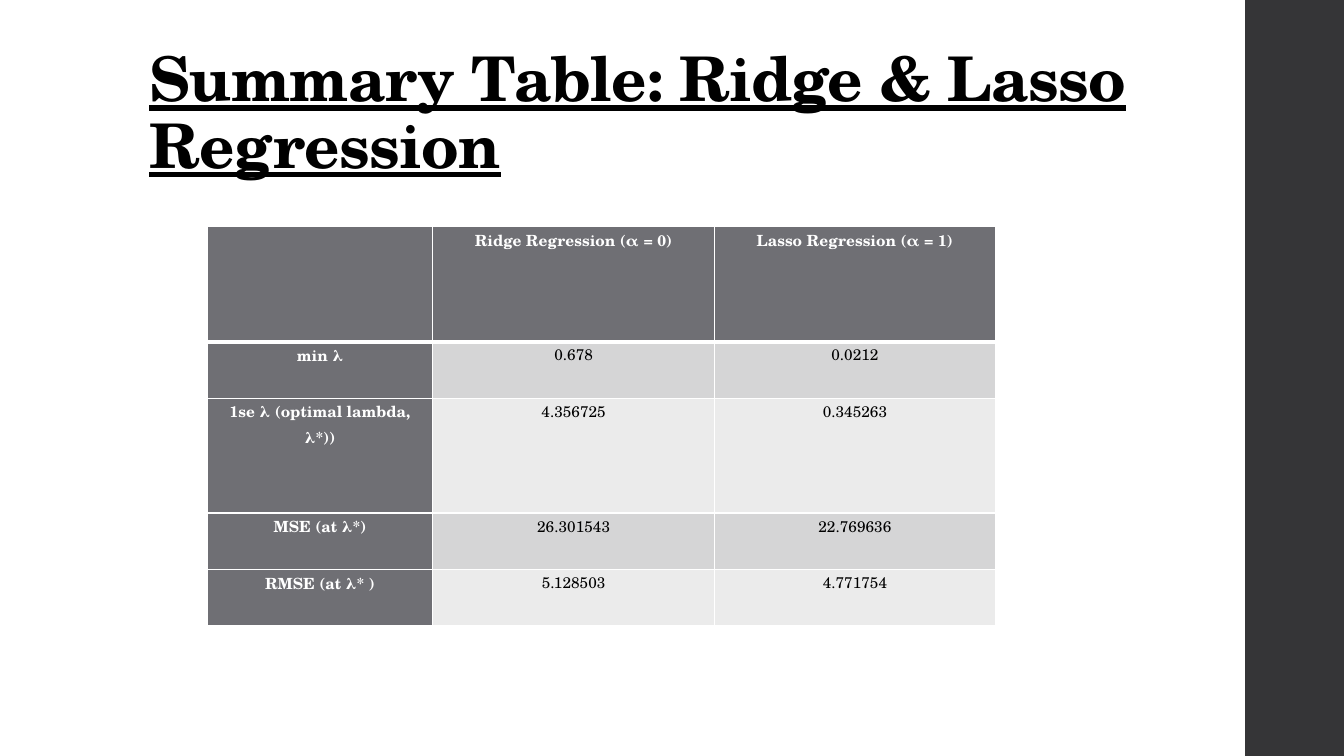
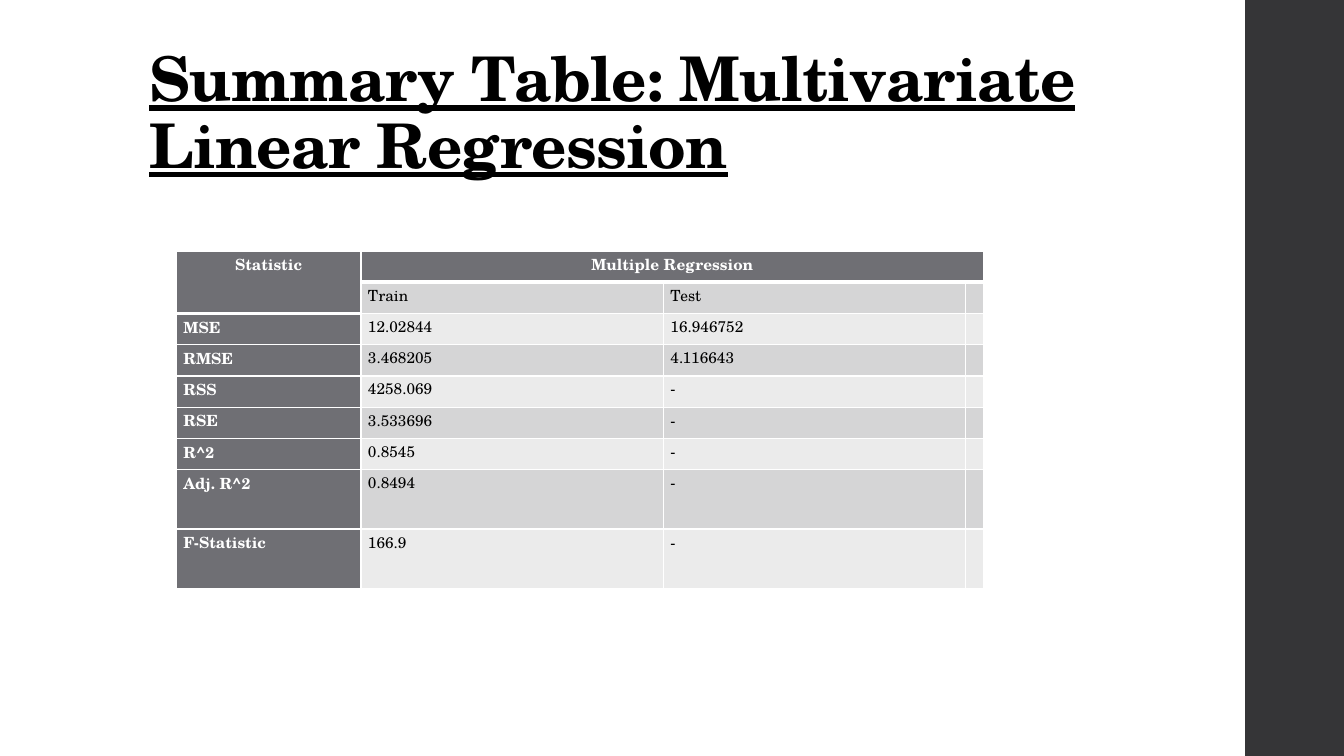
from dataclasses import dataclass

from lxml.etree import SubElement
from pptx import Presentation
from pptx.dml.color import RGBColor as Color
from pptx.enum.shapes import MSO_SHAPE as Shape
from pptx.enum.text import MSO_ANCHOR as Anchor, MSO_AUTO_SIZE as AutoSize, PP_ALIGN as Align
from pptx.oxml.ns import qn
from pptx.util import Inches, Pt


@dataclass(frozen=True)
class Theme:
    font: str = "TeX Gyre Schola"
    ink: str = "000000"
    paper: str = "FFFFFF"
    band: str = "353537"
    heading: str = "6F6F74"
    odd_row: str = "D5D5D6"
    even_row: str = "EBEBEB"
    title_size: int = 44
    table_size: int = 11
    rule: int = 1
    heading_rule: int = 3


class SummaryDeck:
    def __init__(self, theme):
        self.theme = theme
        self.deck = Presentation()
        self.deck.slide_width = Inches(13.33)
        self.deck.slide_height = Inches(7.5)
        self.page = None

    def add_page(self, title):
        self.page = self.deck.slides.add_slide(self.deck.slide_layouts[5])
        self.add_band()
        self.set_title(title)

    def add_band(self):
        band = self.page.shapes.add_shape(
            Shape.RECTANGLE, Inches(12.35), 0, Inches(1), self.deck.slide_height)
        band.shadow.inherit = False
        band.fill.solid()
        band.fill.fore_color.rgb = Color.from_string(self.theme.band)
        band.line.fill.background()

    def set_title(self, text):
        box = self.page.shapes.title
        box.left, box.top = Inches(1.38), Inches(0.4)
        box.width, box.height = Inches(10.6), Inches(1.45)
        frame = box.text_frame
        frame.text = text
        frame.word_wrap = True
        frame.auto_size = AutoSize.NONE
        frame.vertical_anchor = Anchor.BOTTOM
        para = frame.paragraphs[0]
        para.alignment = Align.LEFT
        para.line_spacing = 0.9
        self.style_font(para.font, self.theme.title_size, self.theme.ink, True)
        para.font.underline = True
        para.font._element.set("spc", "-50")

    def style_font(self, font, size, color, bold):
        font.name = self.theme.font
        font.size = Pt(size)
        font.bold = bold
        font.color.rgb = Color.from_string(color)

    def add_table(self, left, top, widths, heights, rows,
                  merges=(), body_align=Align.LEFT, space_before=0):
        frame = self.page.shapes.add_table(
            len(heights), len(widths), Inches(left), Inches(top),
            Inches(sum(widths)), Inches(sum(heights)))
        table = frame.table
        table.first_row = table.horz_banding = False
        for column, width in zip(table.columns, widths):
            column.width = Inches(width)
        for row, height in zip(table.rows, heights):
            row.height = Inches(height)
        for first, last in merges:
            table.cell(*first).merge(table.cell(*last))
        for r, texts in enumerate(rows):
            for c, text in enumerate(texts):
                align = Align.CENTER if r == 0 else body_align
                self.fill_cell(table.cell(r, c), r, c, text, align, space_before)

    def fill_cell(self, cell, row, column, text, align, space_before):
        theme = self.theme
        is_heading = row == 0 or column == 0
        bottom = theme.heading_rule if row == 0 or cell.is_spanned else theme.rule
        self.add_border(cell, "L", theme.rule)
        self.add_border(cell, "R", theme.rule)
        if row == 0:
            self.add_border(cell, "T", theme.rule)
        self.add_border(cell, "B", bottom)
        body_fill = theme.odd_row if row % 2 else theme.even_row
        cell.fill.solid()
        cell.fill.fore_color.rgb = Color.from_string(
            theme.heading if is_heading else body_fill)
        cell.margin_left = cell.margin_right = Inches(0.07)
        cell.margin_top = cell.margin_bottom = 0
        para = cell.text_frame.paragraphs[0]
        para.text = text
        para.alignment = align
        para.line_spacing = 1.07
        para.space_before = Pt(space_before)
        self.style_font(para.font, theme.table_size,
                        theme.paper if is_heading else theme.ink, is_heading)

    def add_border(self, cell, side, width):
        properties = cell._tc.get_or_add_tcPr()
        line = SubElement(properties, qn(f"a:ln{side}"), w=str(Pt(width)))
        fill = SubElement(line, qn("a:solidFill"))
        SubElement(fill, qn("a:srgbClr"), val=self.theme.paper)


def main():
    summary = SummaryDeck(Theme())

    summary.add_page("Summary Table: Ridge & Lasso Regression")
    summary.add_table(
        2.06, 2.25, [2.23, 2.8, 2.78], [1.14, 0.56, 1.14, 0.56, 0.56],
        [
            ("", "Ridge Regression (α = 0)", "Lasso Regression (α = 1)"),
            ("min λ", "0.678", "0.0212"),
            ("1se λ (optimal lambda, λ*))", "4.356725", "0.345263"),
            ("MSE (at λ*)", "26.301543", "22.769636"),
            ("RMSE (at λ* )", "5.128503", "4.771754"),
        ],
        body_align=Align.CENTER, space_before=5.2)

    summary.add_page("Summary Table: Multivariate Linear Regression")
    summary.add_table(
        1.75, 2.49, [1.83, 3, 3, 0.12], [0.31] * 7 + [0.59] * 2,
        [
            ("Statistic", "Multiple Regression", "", ""),
            ("", "Train", "Test", ""),
            ("MSE", "12.02844", "16.946752", ""),
            ("RMSE", "3.468205", "4.116643", ""),
            ("RSS", "4258.069", "-", ""),
            ("RSE", "3.533696", "-", ""),
            ("R^2", "0.8545", "-", ""),
            ("Adj. R^2", "0.8494", "-", ""),
            ("F-Statistic", "166.9", "-", ""),
        ],
        merges=[((0, 0), (1, 0)), ((0, 1), (0, 3))])

    summary.deck.save("out.pptx")


if __name__ == "__main__":
    main()
